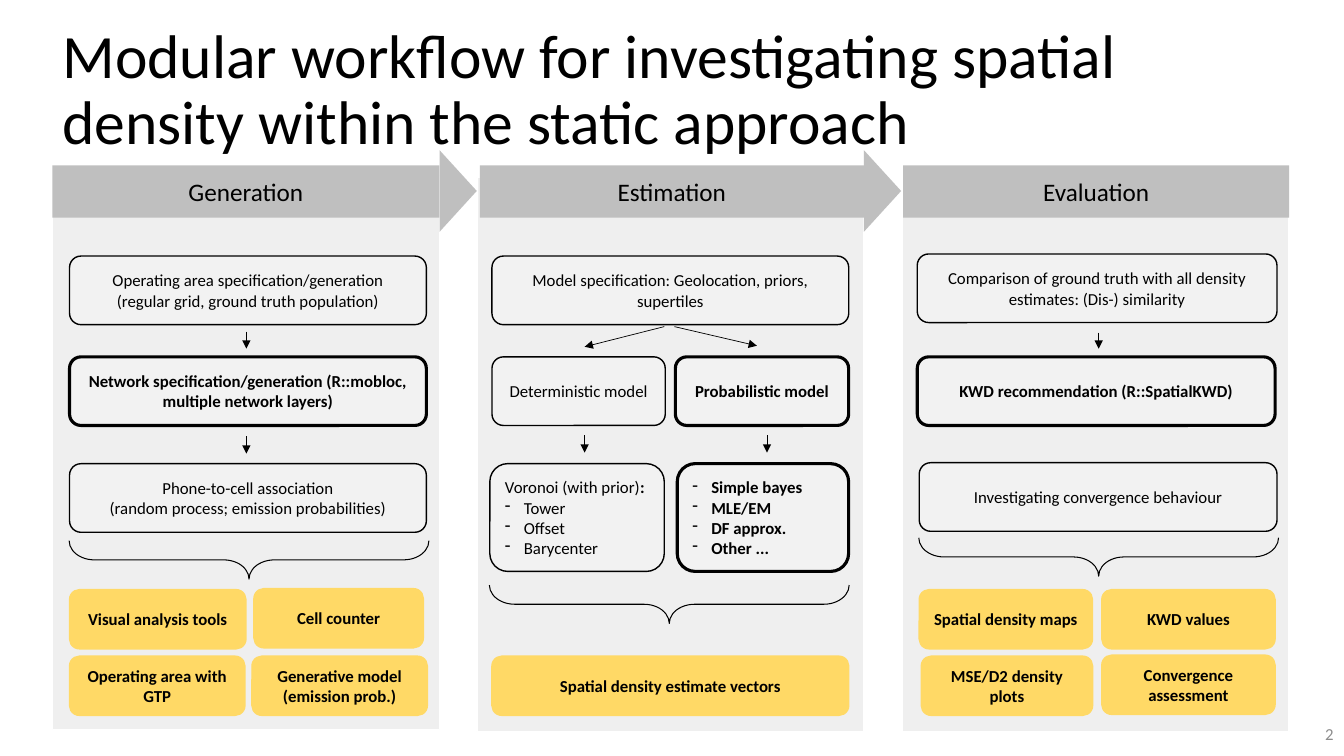
"""Build the modular workflow slide with its three stage columns."""
from lxml.etree import SubElement
from pptx import Presentation
from pptx.dml.color import RGBColor
from pptx.enum.shapes import MSO_CONNECTOR, MSO_SHAPE
from pptx.enum.text import MSO_ANCHOR, MSO_AUTO_SIZE, PP_ALIGN
from pptx.oxml.ns import qn
from pptx.util import Pt

COLORS = {
    "text": "000000",
    "number": "8C8C8C",
    "panel": "D9D9D9",
    "header": "BFBFBF",
    "step": "F2F2F2",
    "output": "FFD966",
    "white": "FFFFFF",
}


def add_box(kind, frame, fill=None, line=None, width=1):
    """Add a shape at a frame of left, top, width and height."""
    box = slide.shapes.add_shape(kind, *[Pt(length) for length in frame])
    box.shadow.inherit = False
    if fill:
        box.fill.solid()
        box.fill.fore_color.rgb = RGBColor.from_string(COLORS[fill])
    else:
        box.fill.background()
    if line:
        box.line.color.rgb = RGBColor.from_string(COLORS[line])
        box.line.width = Pt(width)
    else:
        box.line.fill.background()
    return box


def write(box, texts, size, bold=False, align=PP_ALIGN.CENTER, color="text", anchor=MSO_ANCHOR.MIDDLE):
    """Write one paragraph per text; a leading dash makes a list item."""
    frame = box.text_frame
    frame.word_wrap = True
    frame.auto_size = MSO_AUTO_SIZE.NONE
    frame.vertical_anchor = anchor
    for index, text in enumerate(texts):
        para = frame.paragraphs[0] if index == 0 else frame.add_paragraph()
        para.text = text.removeprefix("- ")
        para.alignment = align
        if text.startswith("- "):
            properties = para._p.get_or_add_pPr()
            properties.set("marL", str(Pt(13.5)))
            properties.set("indent", str(Pt(-13.5)))
            SubElement(properties, qn("a:buChar")).set("char", "-")
        para.font.name = "Calibri"
        para.font.size = Pt(size)
        para.font.bold = bold
        para.font.color.rgb = RGBColor.from_string(COLORS[color])


deck = Presentation()
deck.slide_width, deck.slide_height = Pt(960), Pt(540)
slide = deck.slides.add_slide(deck.slide_layouts[5])

title = slide.shapes.title
title.left, title.top, title.width, title.height = Pt(37.4), Pt(14.4), Pt(904.3), Pt(104.4)
write(title, ["Modular workflow for investigating spatial density within the static approach"],
      44, align=PP_ALIGN.LEFT, anchor=MSO_ANCHOR.TOP)
title.text_frame.paragraphs[0].line_spacing = 0.9

number = slide.shapes.add_textbox(Pt(743.8), Pt(509.8), Pt(216), Pt(28.8))
write(number, ["2"], 12, align=PP_ALIGN.RIGHT, color="number")

stages = [
    ("Generation", 37.4, 125.3, 37.4, 276.5),
    ("Estimation", 340.6, 126.7, 342.7, 274.3),
    ("Evaluation", 644.4, 126.7, 645.1, 275.8),
]
for name, panel_left, panel_top, header_left, header_width in stages:
    panel = add_box(MSO_SHAPE.RECTANGLE, (panel_left, panel_top, 276.5, 396), "panel", "white")
    panel_color = panel._element.spPr.find(qn("a:solidFill"))[0]
    SubElement(panel_color, qn("a:alpha")).set("val", "40000")
    header = add_box(MSO_SHAPE.RECTANGLE, (header_left, 118.1, header_width, 37.4), "header")
    write(header, [name], 18)

for pointer_left in (298.1, 601.2):
    pointer = add_box(MSO_SHAPE.ISOSCELES_TRIANGLE, (pointer_left, 123.1, 58.3, 26.6), "header")
    pointer.rotation = 90

steps = [
    (49.7, 182.9, 254.9, "Operating area specification/generation\n(regular grid, ground truth population)", False),
    (49.7, 254.9, 254.9, "Network specification/generation (R::mobloc, multiple network layers)", True),
    (49.7, 331.2, 254.9, "Phone-to-cell association\n(random process; emission probabilities)", False),
    (351.4, 182.9, 254.9, "Model specification: Geolocation, priors, supertiles", False),
    (351.4, 254.9, 123.8, "Deterministic model", False),
    (482.4, 254.9, 123.8, "Probabilistic model", True),
    (655.2, 181.4, 257, "Comparison of ground truth with all density estimates: (Dis-) similarity", False),
    (655.2, 254.9, 255.6, "KWD recommendation (R::SpatialKWD)", True),
    (656.6, 330.5, 255.6, "Investigating convergence behaviour", False),
]
for left, top, width, text, key_step in steps:
    step = add_box(MSO_SHAPE.ROUNDED_RECTANGLE, (left, top, width, 49), "step", "text", 2.25 if key_step else 1)
    write(step, [text], 12, key_step)

voronoi = add_box(MSO_SHAPE.ROUNDED_RECTANGLE, (349.9, 331.2, 124.6, 77), "step", "text")
write(voronoi, ["Voronoi (with prior)", "- Tower", "- Offset", "- Barycenter"], 12, align=PP_ALIGN.LEFT)
span = voronoi.text_frame.paragraphs[0].add_run()
span.text = ":"
span.font.bold = True

estimators = add_box(MSO_SHAPE.ROUNDED_RECTANGLE, (483.8, 331.2, 122.4, 77), "step", "text", 2.25)
write(estimators, ["- Simple bayes", "- MLE/EM", "- DF approx.", "- Other ..."], 12, True, PP_ALIGN.LEFT)

outputs = [
    (49.7, 421.2, 126, "Visual analysis tools"),
    (181.4, 420.5, 121, "Cell counter"),
    (49.7, 468.7, 125.3, "Operating area with GTP"),
    (180, 468.7, 125.3, "Generative model (emission prob.)"),
    (351.4, 468.7, 254.9, "Spatial density estimate vectors"),
    (656.6, 421.2, 123.8, "Spatial density maps"),
    (787, 421.2, 123.8, "KWD values"),
    (658.1, 468.7, 122.4, "MSE/D2 density plots"),
    (787, 468, 123.8, "Convergence assessment"),
]
for left, top, width, text in outputs:
    output = add_box(MSO_SHAPE.ROUNDED_RECTANGLE, (left, top, width, 42.3), "output", "output")
    write(output, [text], 12, True)

arrows = [
    (176, 236.9, 176, 249.1),
    (176, 311.8, 176, 324),
    (474.5, 233.3, 417.6, 247.7),
    (481.7, 233.3, 540.7, 247),
    (417.6, 311, 417.6, 323.3),
    (547.9, 311, 547.9, 323.3),
    (784.8, 237.6, 784.8, 249.1),
]
for ends in arrows:
    arrow = slide.shapes.add_connector(MSO_CONNECTOR.STRAIGHT, *[Pt(length) for length in ends])
    arrow.line.color.rgb = RGBColor.from_string(COLORS["text"])
    arrow.line.width = Pt(0.5)
    properties = arrow._element.spPr
    SubElement(properties.find(qn("a:ln")), qn("a:tailEnd")).set("type", "triangle")
    SubElement(properties, qn("a:effectLst"))

for left, top in ((164.2, 271.4), (464.4, 303.1), (771.1, 269.3)):
    brace = add_box(MSO_SHAPE.LEFT_BRACE, (left, top, 27.4, 257), line="text", width=0.75)
    brace.rotation = 270
    brace.adjustments[0] = 0.66

deck.save("out.pptx")
